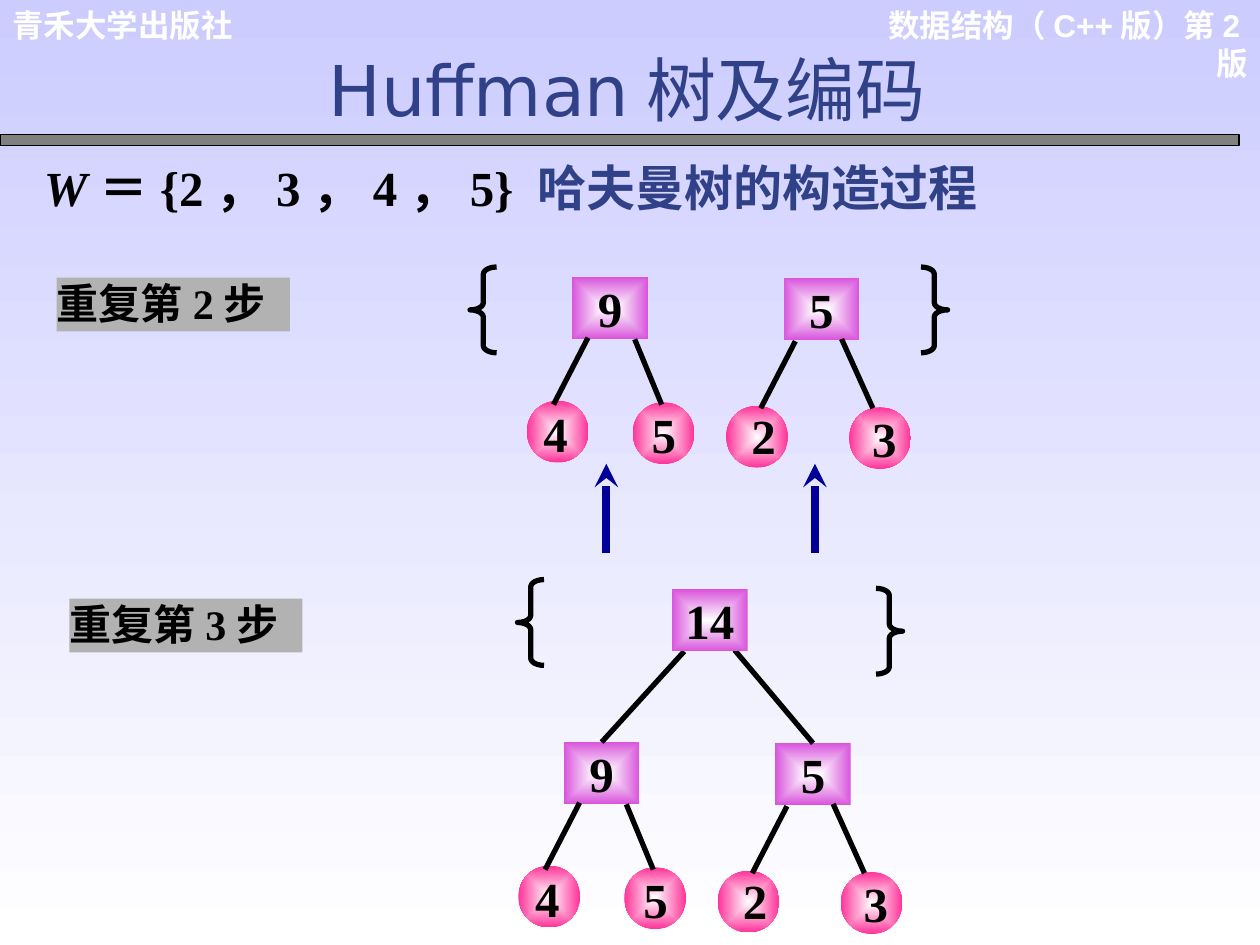
from dataclasses import dataclass

from lxml.etree import SubElement
from pptx import Presentation
from pptx.dml.color import RGBColor
from pptx.enum.shapes import MSO_CONNECTOR as Connector, MSO_SHAPE as Preset
from pptx.enum.text import MSO_ANCHOR as Anchor, PP_ALIGN as Align
from pptx.oxml.ns import qn
from pptx.util import Pt

BLACK = RGBColor(0x00, 0x00, 0x00)
WHITE = RGBColor(0xFF, 0xFF, 0xFF)
LAVENDER = RGBColor(0xCC, 0xCC, 0xFF)
TITLE_BLUE = RGBColor(0x31, 0x41, 0x87)
ARROW_BLUE = RGBColor(0x00, 0x00, 0x99)
PINK = RGBColor(0xFF, 0x33, 0x99)
VIOLET = RGBColor(0xD9, 0x55, 0xDC)
BAR_GREY = RGBColor(0x80, 0x80, 0x80)
LABEL_GREY = RGBColor(0xB2, 0xB2, 0xB2)

SANS, CJK, SERIF, HEAVY = "DejaVu Sans", "Noto Sans CJK SC", "Times New Roman", "Arial"
NODE_W, NODE_H = 43.2, 35.3  # a leaf is a circle of diameter NODE_H


@dataclass
class Run:
    text: str
    font: dict


@dataclass
class Leaf:
    weight: str
    x: float
    y: float
    digit_dx: float  # the digit sits a little off its circle
    digit_dy: float


@dataclass
class Tree:
    weight: str
    x: float
    y: float
    leaves: tuple
    edges: tuple  # (x1, y1, x2, y2)


def font_of(name: str, size: float, color: RGBColor = BLACK, **extra) -> dict:
    return {"name": name, "size": Pt(size), "color": color, **extra}


HEADER = font_of(HEAVY, 18, WHITE, bold=True)
WEIGHT = font_of(SERIF, 28, bold=True)
WIDE = font_of(CJK, 28, bold=True)
STEP = font_of(SERIF, 24, bold=True)


def write(shape, runs: list, align=Align.LEFT, insets=(7.2, 3.6)) -> None:
    """Fill a shape with one paragraph of formatted runs."""
    frame = shape.text_frame
    side, edge = map(Pt, insets)
    settings = {"word_wrap": True, "vertical_anchor": Anchor.TOP,
                "margin_left": side, "margin_right": side,
                "margin_top": edge, "margin_bottom": edge}
    for key, value in settings.items():
        setattr(frame, key, value)
    paragraph = frame.paragraphs[0]
    paragraph.alignment = align
    for item in runs:
        run = paragraph.add_run()
        run.text = item.text
        for key, value in item.font.items():
            if key == "color":
                run.font.color.rgb = value
            else:
                setattr(run.font, key, value)
        SubElement(run.font._element, qn("a:ea"), typeface=CJK)


def add_text(shapes, box: tuple, runs: list, **layout) -> None:
    write(shapes.add_textbox(*map(Pt, box)), runs, **layout)


def add_block(shapes, preset, box: tuple, color: RGBColor):
    block = shapes.add_shape(preset, *map(Pt, box))
    block.shadow.inherit = False
    block.fill.solid()
    block.fill.fore_color.rgb = color
    block.line.fill.background()
    return block


def add_glow(shapes, preset, box: tuple, color: RGBColor):
    """Add a shape shaded from a white centre to a coloured rim."""
    glow = add_block(shapes, preset, box, color)
    glow.fill.gradient()
    for stop, shade in zip(glow.fill.gradient_stops, (WHITE, color)):
        stop.color.rgb = shade
    gradient = glow._element.spPr.find(qn("a:gradFill"))
    gradient.remove(gradient.find(qn("a:lin")))
    centre = SubElement(gradient, qn("a:path"), {"path": "rect"})
    SubElement(centre, qn("a:fillToRect"), dict.fromkeys("ltrb", "50000"))
    return glow


def add_line(shapes, ends: tuple, color: RGBColor = BLACK, width: float = 3):
    line = shapes.add_connector(Connector.STRAIGHT, *map(Pt, ends))
    line.line.color.rgb = color
    line.line.width = Pt(width)
    SubElement(line._element.spPr, qn("a:effectLst"))
    return line


def add_arrow(shapes, x: float) -> None:
    arrow = add_line(shapes, (x, 316, x, 265), ARROW_BLUE, 4.5)
    SubElement(arrow.line._get_or_add_ln(), qn("a:tailEnd"), type="stealth")


def add_brace(shapes, preset, x: float, y: float) -> None:
    brace = add_block(shapes, preset, (x, y, 15.2, 49), WHITE)
    brace.fill.background()
    brace.line.color.rgb = BLACK
    brace.line.width = Pt(3)
    brace.adjustments[0] = 0.27


def add_root(shapes, weight: str, x: float, y: float):
    root = add_glow(shapes, Preset.RECTANGLE, (x, y, NODE_W, NODE_H), VIOLET)
    write(root, [Run(weight, WEIGHT)], align=Align.CENTER, insets=(3, 0.7))
    return root


def add_tree(shapes, tree: Tree, dx: float = 0, dy: float = 0):
    for leaf in tree.leaves:
        add_glow(shapes, Preset.OVAL, (leaf.x + dx, leaf.y + dy, NODE_H, NODE_H), PINK)
    root = add_root(shapes, tree.weight, tree.x + dx, tree.y + dy)
    for x1, y1, x2, y2 in tree.edges:
        add_line(shapes, (x1 + dx, y1 + dy, x2 + dx, y2 + dy))
    for leaf in tree.leaves:
        box = (leaf.x + leaf.digit_dx + dx, leaf.y + leaf.digit_dy + dy, 30.2, 41)
        add_text(shapes, box, [Run(leaf.weight, WEIGHT)], align=Align.CENTER, insets=(0, 0))
    return root


TREES = (
    Tree("9", 327, 158.4,
         (Leaf("4", 301, 229, 1.4, 1.4), Leaf("5", 361.5, 229.9, 2.8, 1.4)),
         ((336, 193, 316.3, 231.2), (362.7, 193.9, 378.1, 231.2))),
    Tree("5", 447.8, 159,
         (Leaf("2", 414.9, 231.9, 6.3, 0), Leaf("3", 485.2, 232.7, 5, 0.6)),
         ((454.5, 195, 434.7, 233.3), (480.9, 193.7, 498.8, 233.3))),
)


def main() -> None:
    deck = Presentation()
    deck.slide_width, deck.slide_height = Pt(720), Pt(540)
    slide = deck.slides.add_slide(deck.slide_layouts[5])
    shapes = slide.shapes

    # Background
    backdrop = slide.background.fill
    backdrop.gradient()
    backdrop.gradient_angle = 270
    for stop, shade in zip(backdrop.gradient_stops, (LAVENDER, WHITE)):
        stop.color.rgb = shade

    # Header and title
    add_text(shapes, (496, 0, 224, 50.4), [Run("数据结构（C++版）第2版", HEADER)], align=Align.RIGHT)
    add_text(shapes, (0, 0, 195, 28.8), [Run("青禾大学出版社", HEADER)])
    bar = add_block(shapes, Preset.RECTANGLE, (0, 77, 708, 6), BAR_GREY)
    bar.line.color.rgb = BLACK
    bar.line.width = Pt(0.75)
    title = shapes.title
    title.left, title.top, title.width, title.height = map(Pt, (12.2, 23, 692.6, 55.4))
    write(title, [Run("Huffman", font_of(SANS, 40, TITLE_BLUE)),
                  Run("树及编码", font_of(CJK, 40, TITLE_BLUE))], align=Align.CENTER)

    # Weight set
    weights = [Run("W", {**WEIGHT, "italic": True}), Run("＝", WIDE), Run("{2", WEIGHT)]
    for tail in ("3", "4", "5} "):
        weights += [Run("，", WIDE), Run(tail, WEIGHT)]
    weights.append(Run("哈夫曼树的构造过程", {**WIDE, "color": TITLE_BLUE}))
    add_text(shapes, (18, 86.4, 666, 41), weights)

    # Step labels
    for step, x, y in (("重复第2步", 32.4, 158.6), ("重复第3步", 39.6, 342)):
        label = add_block(shapes, Preset.RECTANGLE, (x, y, 133.2, 30.8), LABEL_GREY)
        write(label, [Run(step, STEP)], insets=(0, 0))

    # Two trees, then the same trees merged under one root
    for tree in TREES:
        add_tree(shapes, tree)
    for x in (346.5, 465.7):
        add_arrow(shapes, x)
    merged = [add_tree(shapes, tree, -4.8, 265.7) for tree in TREES]
    for child, ends in zip(merged, ((391, 372.2, 346, 425), (419.8, 371.5, 463, 425))):
        add_line(shapes, ends).end_connect(child, 0)
    add_root(shapes, "14", 384, 336.8)

    # Braces around each forest
    for preset, x, y in ((Preset.LEFT_BRACE, 268.6, 152.6), (Preset.RIGHT_BRACE, 526.3, 152.6),
                         (Preset.LEFT_BRACE, 295.7, 331.2), (Preset.RIGHT_BRACE, 500.6, 336.2)):
        add_brace(shapes, preset, x, y)

    deck.save("out.pptx")


if __name__ == "__main__":
    main()
